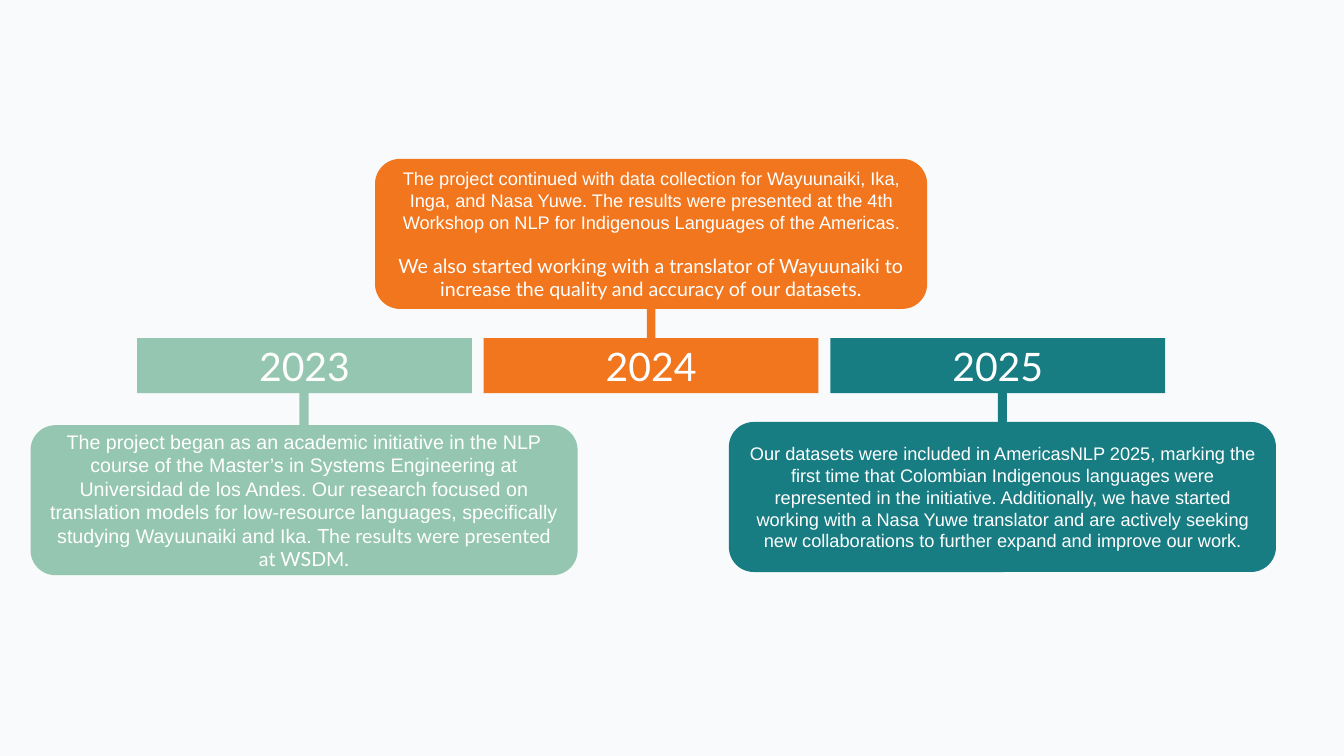
from pptx import Presentation
from pptx.dml.color import RGBColor
from pptx.enum import shapes, text
from pptx.util import Pt

COLOURS = {"back": "F8FAFB", "white": "FFFFFF", "green": "95C6B1",
           "orange": "F1761D", "teal": "177D83"}

# Timeline geometry in points
BAR_LEFT, BAR_TOP, BAR_WIDTH, BAR_HEIGHT, BAR_PITCH = 97.9, 241.6, 239.2, 39.2, 247.6
CARD_HEIGHT, STEM_HEIGHT = 107.2, 23
PARAGRAPH_GAP = 15

# Each card paragraph is a list of (wording, size, font)
MILESTONES = [
    {"year": "2023", "colour": "green", "card": (21.8, 303.7, 390.8),
     "stem": (280.8, 6.6), "paragraphs": [[
         ("The project began as an academic initiative in the NLP course of the "
          "Master’s in Systems Engineering at Universidad de los Andes. Our research "
          "focused on translation models for low-resource languages, specifically "
          "studying Wayuunaiki and Ika. ", 14, "Arial"),
         ("The results were presented at WSDM.", 14, "Lato")]]},
    {"year": "2024", "colour": "orange", "card": (267.9, 113.5, 394.4),
     "stem": (220.8, 6), "paragraphs": [
         [("The project continued with data collection for Wayuunaiki, Ika, Inga, and "
           "Nasa Yuwe. The results were presented at the 4th Workshop on NLP for "
           "Indigenous Languages of the Americas.", 13, "Arial")],
         [("We also started working with a translator of Wayuunaiki to increase the "
           "quality and accuracy of our datasets.", 14, "Lato")]]},
    {"year": "2025", "colour": "teal", "card": (520.6, 301.4, 390.8),
     "stem": (280.8, 6.6), "paragraphs": [[
         ("Our datasets were included in AmericasNLP 2025, marking the first time that "
          "Colombian Indigenous languages were represented in the initiative. "
          "Additionally, we have started working with a Nasa Yuwe translator and are "
          "actively seeking new collaborations to further expand and improve our work.",
          13, "Arial")]]},
]

deck = Presentation()
deck.slide_width, deck.slide_height = Pt(960), Pt(540)
page = deck.slides.add_slide(deck.slide_layouts[6])
page.background.fill.solid()
page.background.fill.fore_color.rgb = RGBColor.from_string(COLOURS["back"])


def add_block(kind, left, top, width, height, colour):
    block = page.shapes.add_shape(kind, Pt(left), Pt(top), Pt(width), Pt(height))
    block.shadow.inherit = False
    block.fill.solid()
    block.fill.fore_color.rgb = RGBColor.from_string(COLOURS[colour])
    block.line.fill.background()
    return block


def write(box, paragraphs):
    frame = box.text_frame
    frame.word_wrap = True
    frame.vertical_anchor = text.MSO_ANCHOR.MIDDLE
    frame.text = "\n".join("" for _ in paragraphs)
    for index, (para, spans) in enumerate(zip(frame.paragraphs, paragraphs)):
        para.alignment = text.PP_ALIGN.CENTER
        para.space_before = Pt(PARAGRAPH_GAP if index else 0)
        for wording, size, font in spans:
            span = para.add_run()
            span.text = wording
            span.font.size = Pt(size)
            span.font.name = font
            span.font.color.rgb = RGBColor.from_string(COLOURS["white"])


for index, milestone in enumerate(MILESTONES):
    colour = milestone["colour"]

    # Year bar
    bar = add_block(shapes.MSO_SHAPE.RECTANGLE, BAR_LEFT + index * BAR_PITCH, BAR_TOP,
                    BAR_WIDTH, BAR_HEIGHT, colour)
    write(bar, [[(milestone["year"], 28, "Lato")]])

    # Description card
    left, top, width = milestone["card"]
    card = add_block(shapes.MSO_SHAPE.ROUNDED_RECTANGLE, left, top, width, CARD_HEIGHT,
                     colour)
    write(card, milestone["paragraphs"])

    # Stem centred on the card
    stem_top, stem_width = milestone["stem"]
    add_block(shapes.MSO_SHAPE.RECTANGLE, left + (width - stem_width) / 2, stem_top,
              stem_width, STEM_HEIGHT, colour)

deck.save("out.pptx")
